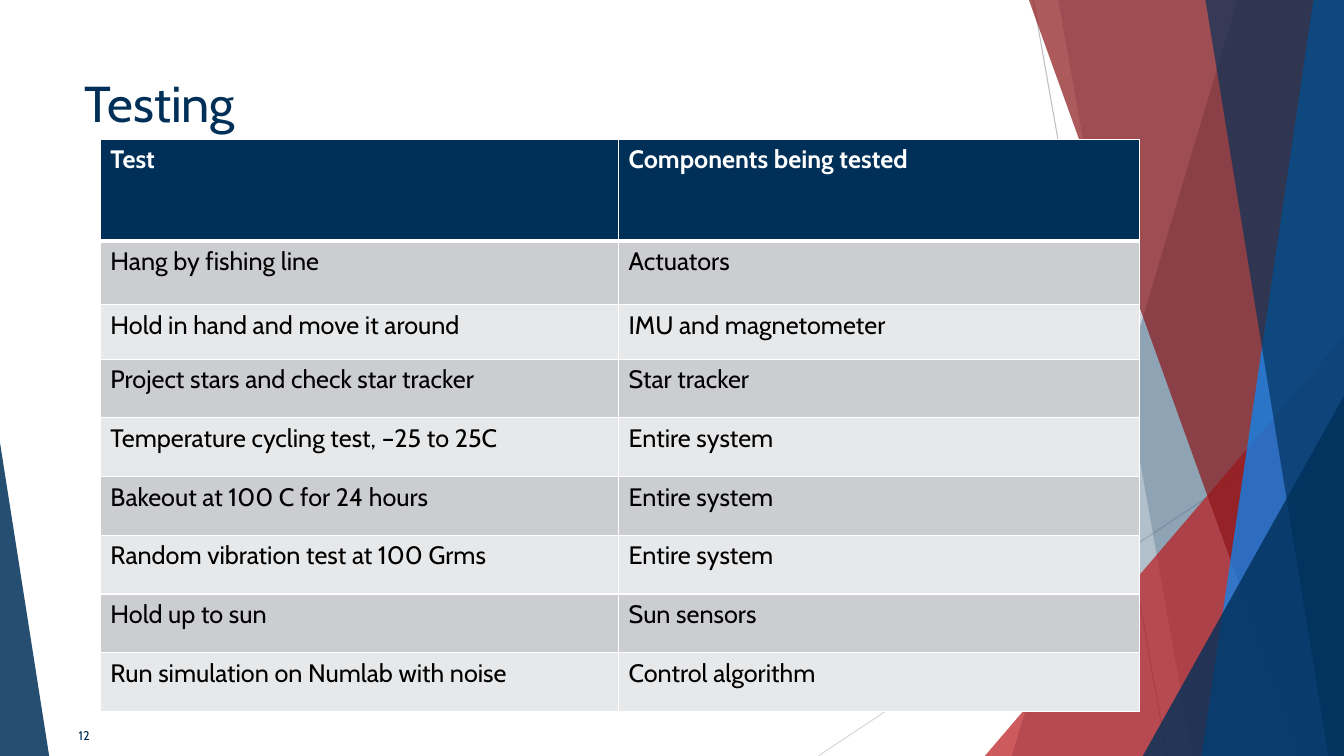
"""Build the Testing slide: a table of tests over a fan of translucent bands."""
import lxml.etree
import pptx
import pptx.dml.color
import pptx.enum.shapes
import pptx.enum.text
import pptx.oxml.ns
import pptx.util

Cm, Pt = pptx.util.Cm, pptx.util.Pt
RGBColor = pptx.dml.color.RGBColor
qn = pptx.oxml.ns.qn

NAVY = RGBColor(0x00, 0x30, 0x58)
RED = RGBColor(0xBA, 0x1C, 0x21)
DARK_RED = RGBColor(0x8B, 0x15, 0x19)
BLUE = RGBColor(0x02, 0x8C, 0xFF)
GREY = RGBColor(0xBF, 0xBF, 0xBF)
LIGHT_GREY = RGBColor(0xD9, 0xD9, 0xD9)
DARK_ROW = RGBColor(0xCC, 0xCD, 0xD1)
LIGHT_ROW = RGBColor(0xE7, 0xE8, 0xEA)
WHITE = RGBColor(0xFF, 0xFF, 0xFF)
BLACK = RGBColor(0x00, 0x00, 0x00)
FONT = "Cabin"
WIDTH, HEIGHT = 33.87, 19.05

TITLE = "Testing"
PAGE_NUMBER = "12"
TESTS = [
    ("Test", "Components being tested"),
    ("Hang by fishing line", "Actuators"),
    ("Hold in hand and move it around", "IMU and magnetometer"),
    ("Project stars and check star tracker", "Star tracker"),
    ("Temperature cycling test, –25 to 25C", "Entire system"),
    ("Bakeout at 100 C for 24 hours", "Entire system"),
    ("Random vibration test at 100 Grms", "Entire system"),
    ("Hold up to sun", "Sun sensors"),
    ("Run simulation on Numlab with noise", "Control algorithm"),
]
COLUMN_WIDTHS = [13.06, 13.13]
ROW_HEIGHTS = [2.57, 1.6, 1.37] + [1.48] * 6

RAYS = [
    (26.04, 0, 29.41, HEIGHT, GREY),
    (WIDTH, 10.24, 20.62, HEIGHT, LIGHT_GREY),
]
# Bands: top and bottom x of the left edge. Wedges: left, top, width, apex.
DECORATIONS = [
    ("band", (31.19, 25.5), NAVY, 30),
    ("band", (26.67, 30.05), NAVY, 20),
    ("wedge", (24.82, 8.46, 9.05, 1), RED, 72),
    ("band", (25.93, 32.79), DARK_RED, 70),
    ("band", (33.1, 30.28), BLUE, 70),
    ("band", (30.38, 33.48), NAVY, 65),
    ("wedge", (28.8, 9.98, 5.07, 1), NAVY, 80),
    ("wedge", (0, 11.15, 1.24, 0), NAVY, 85),
]


def add_ray(slide, left, top, right, bottom, color):
    ray = slide.shapes.add_connector(
        pptx.enum.shapes.MSO_CONNECTOR.STRAIGHT, Cm(left), Cm(top), Cm(right), Cm(bottom))
    ray.line.color.rgb = color
    ray.line.width = Pt(0.75)
    lxml.etree.SubElement(ray._element.spPr, qn("a:effectLst"))


def add_band(slide, top_x, bottom_x):
    builder = slide.shapes.build_freeform(Cm(top_x), 0)
    corners = [(WIDTH, 0), (WIDTH, HEIGHT), (bottom_x, HEIGHT)]
    builder.add_line_segments([(Cm(x), Cm(y)) for x, y in corners], close=True)
    return builder.convert_to_shape()


def add_wedge(slide, left, top, width, apex):
    wedge = slide.shapes.add_shape(
        pptx.enum.shapes.MSO_SHAPE.ISOSCELES_TRIANGLE,
        Cm(left), Cm(top), Cm(width), Cm(HEIGHT - top))
    wedge.adjustments[0] = apex
    return wedge


def paint(shape, color, opacity):
    shape.shadow.inherit = False
    shape.line.fill.background()
    shape.fill.solid()
    shape.fill.fore_color.rgb = color
    fill_color = shape._element.spPr.find(qn("a:solidFill"))[0]
    lxml.etree.SubElement(fill_color, qn("a:alpha"), val=str(opacity * 1000))


def format_text(text_frame, size, color, bold=False):
    for run in text_frame.paragraphs[0].runs:
        run.font.name = FONT
        run.font.size = Pt(size)
        run.font.color.rgb = color
        run.font.bold = bold


def add_label(slide, text, left, top, width, height, size):
    box = slide.shapes.add_textbox(Cm(left), Cm(top), Cm(width), Cm(height))
    box.text_frame.word_wrap = True
    box.text_frame.text = text
    format_text(box.text_frame, size, NAVY)
    return box.text_frame


def set_borders(cell, row_index):
    properties = cell._tc.get_or_add_tcPr()
    widths = {"L": 1, "R": 1, "T": 3 if row_index == 1 else 1, "B": 3 if row_index == 0 else 1}
    for index, (side, width) in enumerate(widths.items()):
        border = lxml.etree.Element(qn("a:ln" + side), w=str(Pt(width)))
        fill = lxml.etree.SubElement(border, qn("a:solidFill"))
        lxml.etree.SubElement(fill, qn("a:srgbClr"), val=str(WHITE))
        properties.insert(index, border)


def add_test_table(slide):
    table = slide.shapes.add_table(
        len(TESTS), len(COLUMN_WIDTHS), Cm(2.53), Cm(3.51),
        Cm(sum(COLUMN_WIDTHS)), Cm(sum(ROW_HEIGHTS))).table
    for column, width in zip(table.columns, COLUMN_WIDTHS):
        column.width = Cm(width)
    for row_index, (row, texts) in enumerate(zip(table.rows, TESTS)):
        row.height = Cm(ROW_HEIGHTS[row_index])
        header = row_index == 0
        row_color = NAVY if header else (LIGHT_ROW, DARK_ROW)[row_index % 2]
        for cell, text in zip(row.cells, texts):
            cell.text_frame.text = text
            format_text(cell.text_frame, 18, WHITE if header else BLACK, header)
            cell.fill.solid()
            cell.fill.fore_color.rgb = row_color
            set_borders(cell, row_index)


def main():
    presentation = pptx.Presentation()
    presentation.slide_width, presentation.slide_height = Cm(WIDTH), Cm(HEIGHT)
    slide = presentation.slides.add_slide(presentation.slide_layouts[6])
    for ray in RAYS:
        add_ray(slide, *ray)
    builders = {"band": add_band, "wedge": add_wedge}
    for kind, geometry, color, opacity in DECORATIONS:
        paint(builders[kind](slide, *geometry), color, opacity)
    add_label(slide, TITLE, 1.88, 1.7, 23.88, 3.66, 36)
    add_test_table(slide)
    number = add_label(slide, PAGE_NUMBER, 0.61, 18.03, 1.9, 1.02, 9)
    number.vertical_anchor = pptx.enum.text.MSO_ANCHOR.MIDDLE
    number.paragraphs[0].alignment = pptx.enum.text.PP_ALIGN.RIGHT
    presentation.save("out.pptx")


if __name__ == "__main__":
    main()
